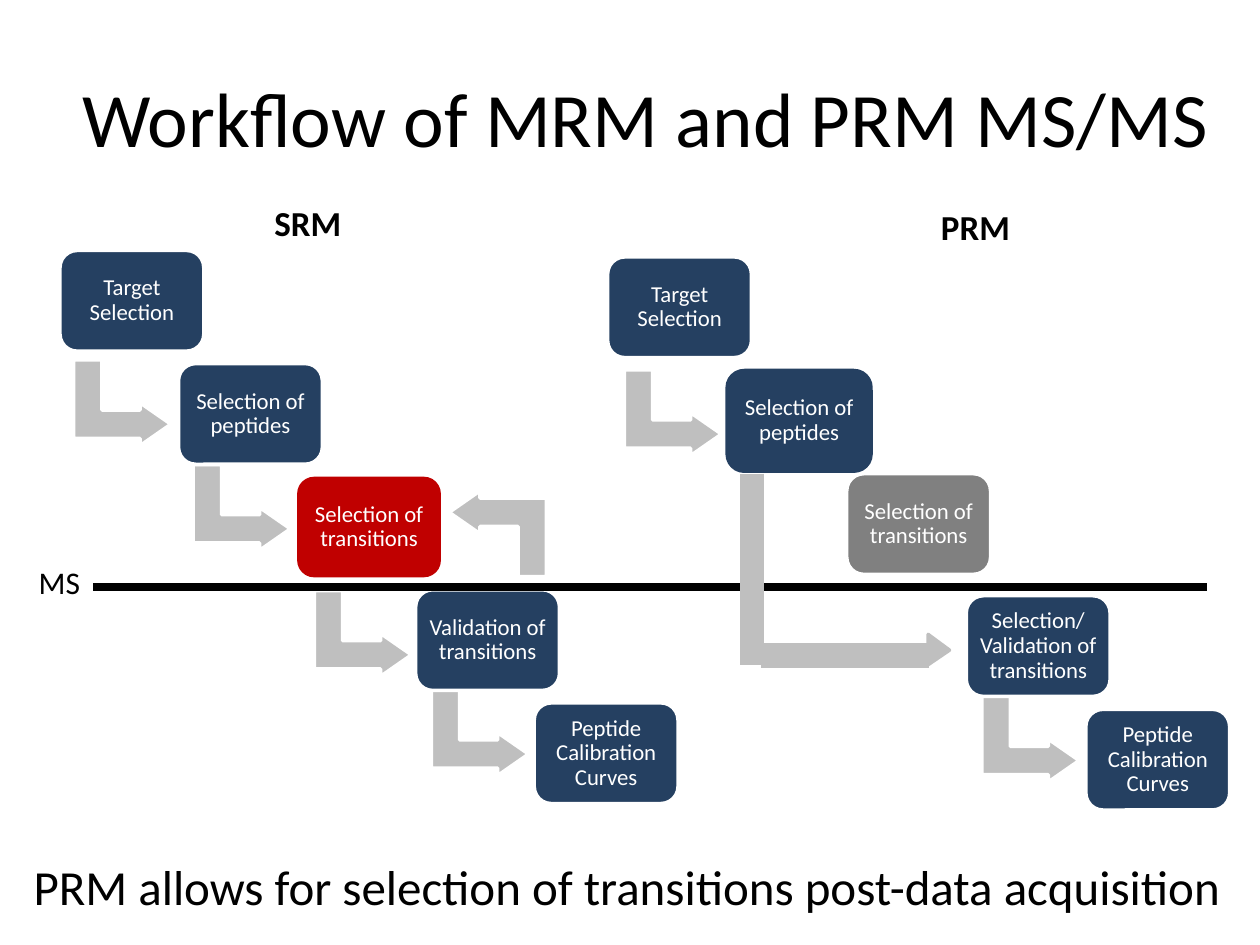
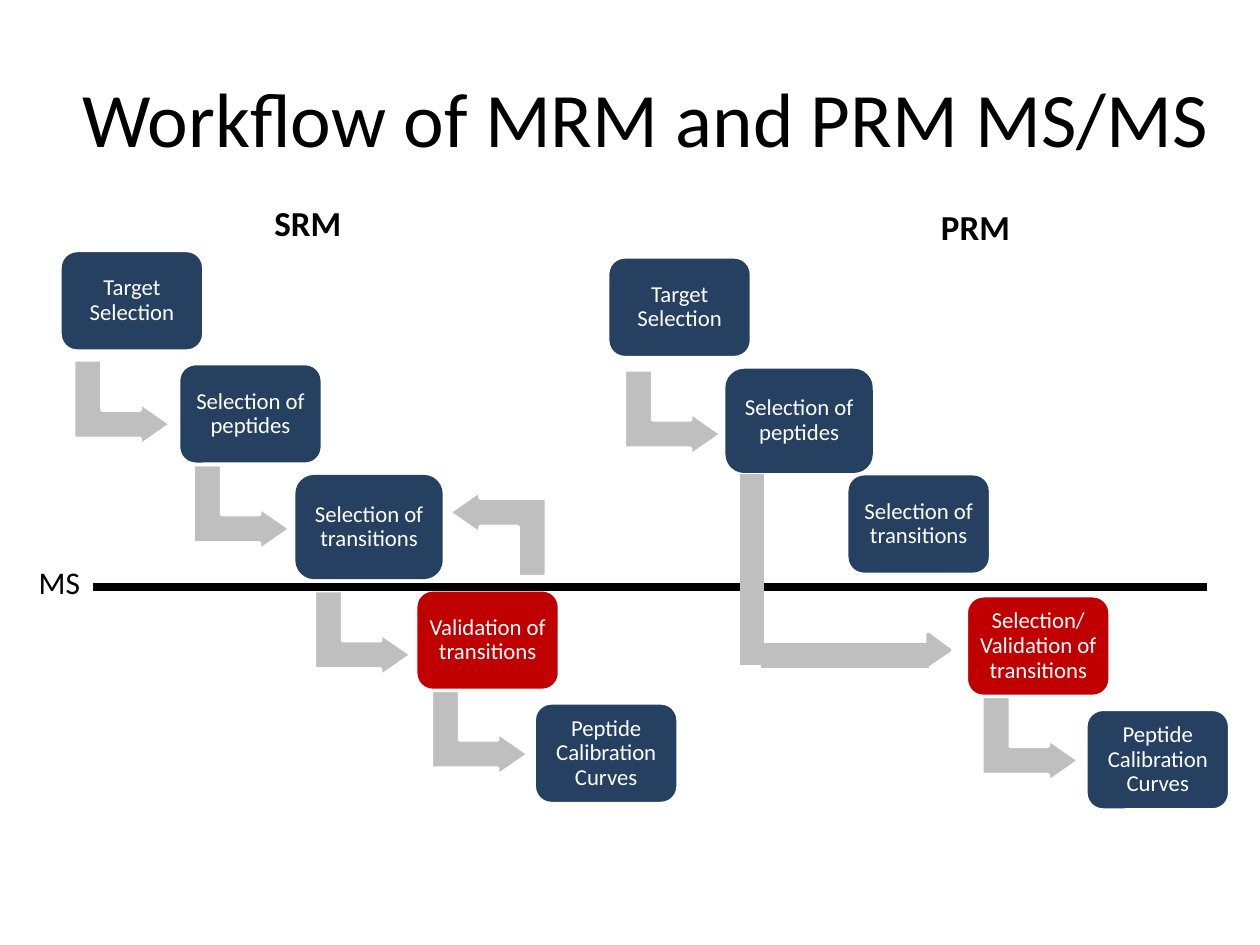
import pptx
import pptx.dml.color
import pptx.enum.shapes
import pptx.enum.text
import pptx.oxml
import pptx.util

Cm = pptx.util.Cm
Pt = pptx.util.Pt
RGBColor = pptx.dml.color.RGBColor
MSO_SHAPE = pptx.enum.shapes.MSO_SHAPE
MSO_CONNECTOR = pptx.enum.shapes.MSO_CONNECTOR
PP_ALIGN = pptx.enum.text.PP_ALIGN
MSO_ANCHOR = pptx.enum.text.MSO_ANCHOR
MSO_AUTO_SIZE = pptx.enum.text.MSO_AUTO_SIZE

NAVY = RGBColor(0x25, 0x40, 0x61)
RED = RGBColor(0xC0, 0x00, 0x00)
GREY = RGBColor(0x80, 0x80, 0x80)
SILVER = RGBColor(0xBF, 0xBF, 0xBF)
WHITE = RGBColor(0xFF, 0xFF, 0xFF)
BLACK = RGBColor(0x00, 0x00, 0x00)
FONT = "Calibri"

BOX_W, BOX_H = 2.9, 2.03
ARROW_W, ARROW_H = 1.73, 1.96
STEPS = ["Target Selection", "Selection of peptides", "Selection of transitions"]
SRM_STEPS = STEPS + ["Validation of transitions", "Peptide Calibration Curves"]
PRM_STEPS = STEPS + ["Selection/ Validation of transitions", "Peptide Calibration Curves"]
SRM_TOPS = [5.05 + 2.28 * i for i in range(5)]
PRM_TOPS = [5.18, 7.47, 9.55, 12.01, 14.3]
SRM_ARROWS = [(1.6, 7.14, 90), (4.01, 9.25, 90), (6.45, 11.79, 90), (8.81, 13.79, 90),
              (9.17, 9.78, 270)]
PRM_ARROWS = [(12.7, 7.34, 90), (19.91, 13.92, 90)]
MS_LINE = [(1.88, 11.84, 24.33, 11.84, BLACK, 4.5)]
BYPASS_LINES = [(15.16, 9.55, 15.16, 13.41, SILVER, 14), (18.72, 13.21, 15.34, 13.21, SILVER, 14)]
LABELS = [("MS", 0.53, 11.23, 1.35, 1.02, 18, False),
          ("PRM", 18.72, 4.01, 1.91, 1.12, 20, True),
          ("SRM", 5.28, 3.94, 1.91, 1.12, 20, True)]
CAPTION = ("PRM allows for selection of transitions post-data acquisition",
           0.43, 17.15, 24.74, 1.45, 28, False)

SLIDES = [
    {"srm_fills": [NAVY, NAVY, RED, NAVY, NAVY],
     "srm_edges": [WHITE, WHITE, None, WHITE, WHITE],
     "prm_fills": [NAVY, NAVY, GREY, NAVY, NAVY],
     "labels": LABELS + [CAPTION]},
    {"srm_fills": [NAVY, NAVY, NAVY, RED, NAVY],
     "srm_edges": [WHITE, WHITE, NAVY, WHITE, WHITE],
     "prm_fills": [NAVY, NAVY, NAVY, RED, NAVY],
     "labels": LABELS},
]
PRM_EDGES = [WHITE, NAVY, WHITE, WHITE, WHITE]


def add_shape(s, kind, left, top, width, height, fill, edge, adj, rotation=0):
    sp = s.shapes.add_shape(kind, Cm(left), Cm(top), Cm(width), Cm(height))
    sp.shadow.inherit = False
    sp.rotation = rotation
    for i, value in enumerate(adj):
        sp.adjustments[i] = value
    sp.fill.solid()
    sp.fill.fore_color.rgb = fill
    if edge is None:
        sp.line.fill.background()
    else:
        sp.line.color.rgb = edge
        sp.line.width = Pt(2)
    return sp


def set_text(tf, text, size, color, bold=False, align=PP_ALIGN.LEFT):
    p = tf.paragraphs[0]
    p.text = text
    p.alignment = align
    p.font.name = FONT
    p.font.size = Pt(size)
    p.font.bold = bold
    p.font.color.rgb = color
    return p


prs = pptx.Presentation()
prs.slide_width = Cm(25.4)
prs.slide_height = Cm(19.05)

for content in SLIDES:
    s = prs.slides.add_slide(prs.slide_layouts[5])
    title = s.shapes.title
    title.left, title.top, title.width, title.height = Cm(1.27), Cm(0.76), Cm(23.5), Cm(3.18)
    title.text_frame.auto_size = MSO_AUTO_SIZE.NONE
    set_text(title.text_frame, "Workflow of MRM and PRM MS/MS", 44, BLACK, align=PP_ALIGN.CENTER)

    workflows = [
        (SRM_STEPS, 1.21, 2.39, SRM_TOPS, content["srm_fills"], content["srm_edges"],
         SRM_ARROWS, MS_LINE),
        (PRM_STEPS, 12.25, 2.41, PRM_TOPS, content["prm_fills"], PRM_EDGES,
         PRM_ARROWS, BYPASS_LINES),
    ]
    for steps, left, step_w, tops, fills, edges, arrows, lines in workflows:
        for x, y, rotation in arrows:
            add_shape(s, MSO_SHAPE.BENT_UP_ARROW, x, y, ARROW_W, ARROW_H, SILVER, WHITE,
                      [0.33, 0.25, 0.36], rotation)

        for i, (step, top, fill, edge) in enumerate(zip(steps, tops, fills, edges)):
            sp = add_shape(s, MSO_SHAPE.ROUNDED_RECTANGLE, left + step_w * i, top,
                           BOX_W, BOX_H, fill, edge, [0.17])
            tf = sp.text_frame
            tf.word_wrap = True
            tf.vertical_anchor = MSO_ANCHOR.MIDDLE
            tf.margin_left = tf.margin_right = tf.margin_top = tf.margin_bottom = Cm(0.13)
            p = set_text(tf, step, 13, WHITE, align=PP_ALIGN.CENTER)
            p.line_spacing = 0.9

        for x1, y1, x2, y2, color, width in lines:
            line = s.shapes.add_connector(MSO_CONNECTOR.STRAIGHT, Cm(x1), Cm(y1), Cm(x2), Cm(y2))
            line.line.color.rgb = color
            line.line.width = Pt(width)
            line._element.spPr.append(pptx.oxml.parse_xml(
                '<a:effectLst xmlns:a="http://schemas.openxmlformats.org/drawingml/2006/main"/>'))

    add_shape(s, MSO_SHAPE.ISOSCELES_TRIANGLE, 18.62, 12.88, 0.61, 0.43, SILVER, SILVER, [0.52], 90)

    for text, left, top, width, height, size, bold in content["labels"]:
        tb = s.shapes.add_textbox(Cm(left), Cm(top), Cm(width), Cm(height))
        tb.text_frame.word_wrap = False
        set_text(tb.text_frame, text, size, BLACK, bold)

prs.save("out.pptx")
